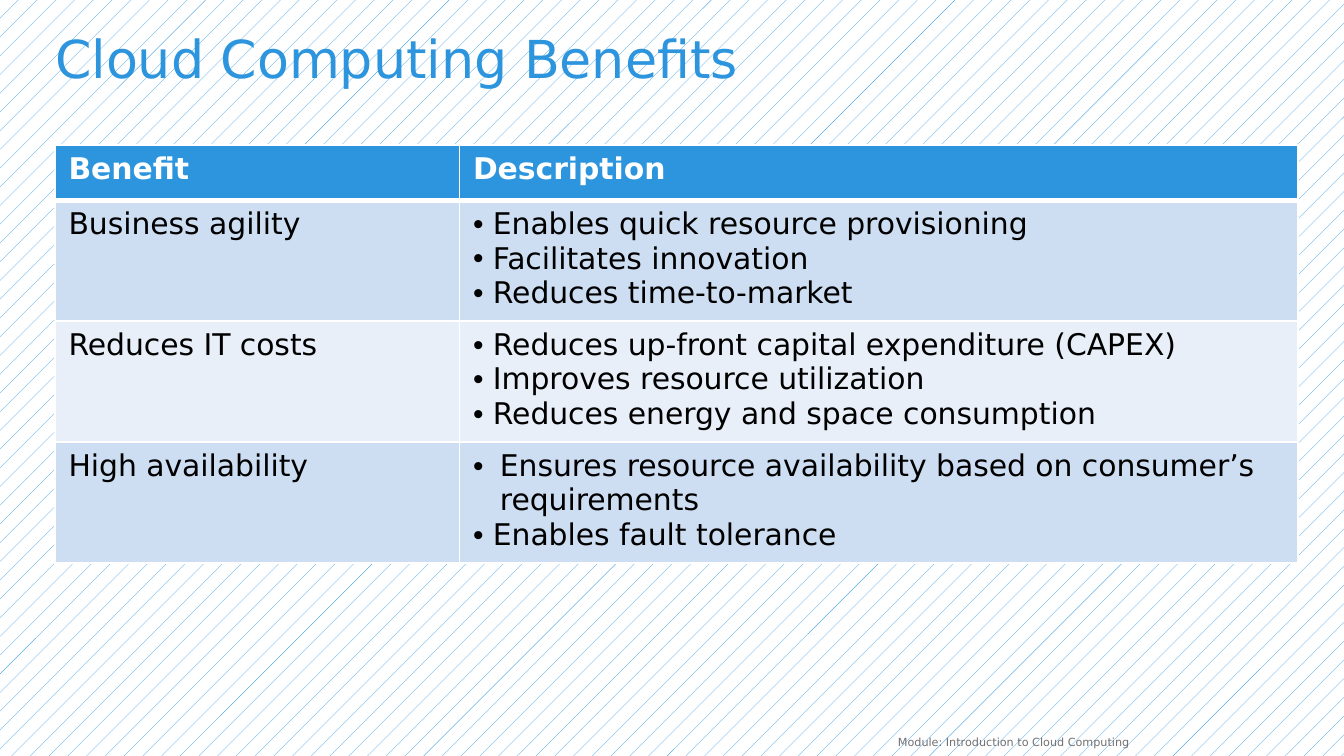
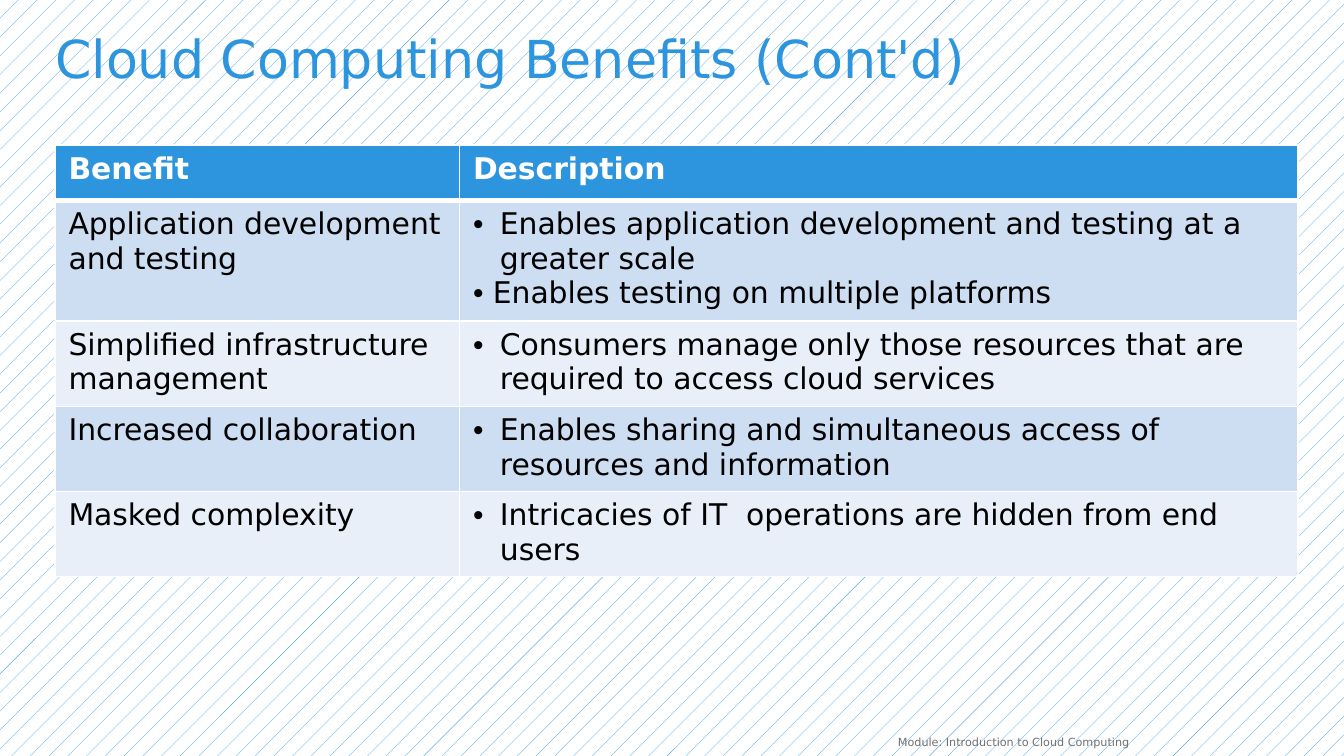
from lxml.etree import SubElement
from pptx import Presentation
from pptx.dml.color import RGBColor
from pptx.enum.dml import MSO_PATTERN
from pptx.enum.text import PP_ALIGN
from pptx.oxml.ns import qn
from pptx.util import Inches, Pt

FONT = "DejaVu Sans"
BLUE = RGBColor(0x2C, 0x95, 0xDD)
WHITE = RGBColor(0xFF, 0xFF, 0xFF)
BLACK = RGBColor(0, 0, 0)
GREY = RGBColor(0x71, 0x70, 0x74)
BANDS = [RGBColor(0xCD, 0xDD, 0xF2), RGBColor(0xE8, 0xEF, 0xF9)]

FOOTER = "Module: Introduction to Cloud Computing"
HEADS = ("Benefit", "Description")
COLS = (3.01, 6.24)
LEFT, WIDTH, ROW = 0.41, 9.25, 0.41
NEAR, FAR = 0.06, 0.2

SLIDES = [
    ("Cloud Computing Benefits", 3.11, [
        ("Business agility", [
            (NEAR, " Enables quick resource provisioning"),
            (NEAR, " Facilitates innovation"),
            (NEAR, " Reduces time-to-market")]),
        ("Reduces IT costs", [
            (NEAR, " Reduces up-front capital expenditure (CAPEX)"),
            (NEAR, " Improves resource utilization"),
            (NEAR, " Reduces energy and space consumption")]),
        ("High availability", [
            (FAR, "Ensures resource availability based on consumer’s requirements"),
            (NEAR, " Enables fault tolerance")]),
    ]),
    ("Cloud Computing Benefits (Cont'd)", 3.21, [
        ("Application development and testing", [
            (FAR, "Enables application development and testing at a greater scale"),
            (NEAR, " Enables testing on multiple platforms")]),
        ("Simplified infrastructure management", [
            (FAR, "Consumers manage only those resources that are required to access cloud services")]),
        ("Increased collaboration", [
            (FAR, "Enables sharing and simultaneous access of resources and information")]),
        ("Masked complexity", [
            (FAR, "Intricacies of IT  operations are hidden from end users")]),
    ]),
]


def add_run(para, text, size, color, bold=False):
    run = para.add_run()
    run.text = text
    font = run.font
    font.name, font.size, font.bold = FONT, Pt(size), bold
    font.color.rgb = color


def add_text(slide, box, text, size, color):
    frame = slide.shapes.add_textbox(*map(Inches, box)).text_frame
    frame.word_wrap = True
    para = frame.paragraphs[0]
    add_run(para, text, size, color)
    return frame, para


def set_bullet(para, indent):
    props = para._p.get_or_add_pPr()
    props.set("marL", str(Inches(indent)))
    props.set("indent", str(-Inches(indent)))
    SubElement(props, qn("a:buFont"), typeface="Arial")
    SubElement(props, qn("a:buChar"), char="•")


def set_cell(cell, row, fill, color, items):
    props = cell._tc.get_or_add_tcPr()
    widths = {"L": 1, "R": 1, "T": 3 if row == 1 else 1, "B": 3 if row == 0 else 1}
    for side, width in widths.items():
        line = SubElement(props, qn("a:ln" + side), w=str(Pt(width)))
        paint = SubElement(line, qn("a:solidFill"))
        SubElement(paint, qn("a:srgbClr"), val=str(WHITE))
    cell.fill.solid()
    cell.fill.fore_color.rgb = fill
    frame = cell.text_frame
    for num, (indent, text) in enumerate(items):
        para = frame.add_paragraph() if num else frame.paragraphs[0]
        if indent:
            set_bullet(para, indent)
        add_run(para, text, 16, color, bold=row == 0)


def add_grid(slide, height, rows):
    count = len(rows) + 1
    frame = slide.shapes.add_table(
        count, len(COLS), Inches(LEFT), Inches(1.08),
        Inches(WIDTH), Inches(ROW * count))
    table = frame.table
    for col, width in zip(table.columns, COLS):
        col.width = Inches(width)
    frame.height = Inches(height)
    for col, head in enumerate(HEADS):
        set_cell(table.cell(0, col), 0, BLUE, WHITE, [(0, head)])
    for row, (name, points) in enumerate(rows, 1):
        band = BANDS[(row - 1) % 2]
        set_cell(table.cell(row, 0), row, band, BLACK, [(0, name)])
        set_cell(table.cell(row, 1), row, band, BLACK, points)


def add_page(deck, title, height, rows):
    slide = deck.slides.add_slide(deck.slide_layouts[6])
    back = slide.background.fill
    back.patterned()
    back.pattern = MSO_PATTERN.PERCENT_5
    back.fore_color.rgb, back.back_color.rgb = BLUE, WHITE
    frame, para = add_text(slide, (LEFT, 0.25, WIDTH, 0.5), title, 28, BLUE)
    frame.margin_left = frame.margin_right = 0
    frame.margin_top = frame.margin_bottom = 0
    para.line_spacing = 0.9
    add_grid(slide, height, rows)
    _, para = add_text(slide, (2.83, 5.42, 5.67, 0.15), FOOTER, 6, GREY)
    para.alignment = PP_ALIGN.RIGHT


def main():
    deck = Presentation()
    deck.slide_width = Inches(10)
    deck.slide_height = deck.slide_width * 9 // 16
    for title, height, rows in SLIDES:
        add_page(deck, title, height, rows)
    deck.save("out.pptx")


if __name__ == "__main__":
    main()
